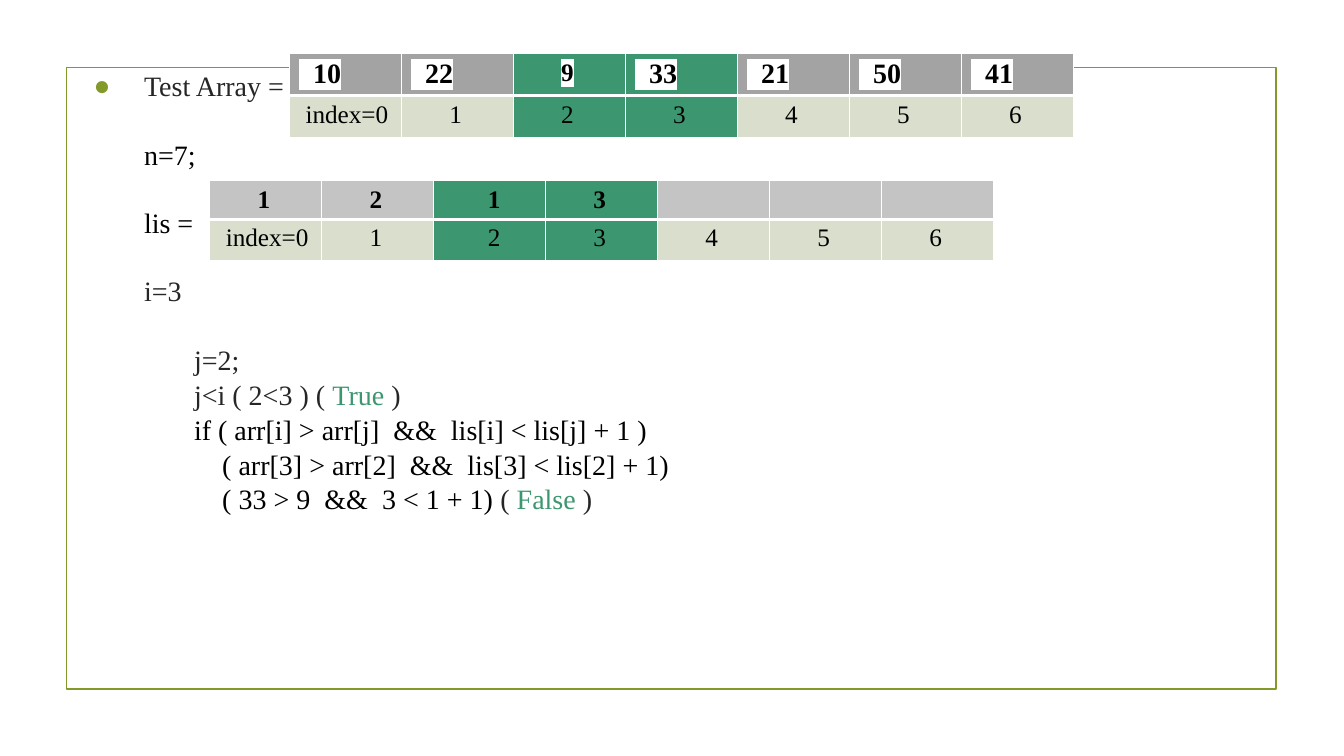
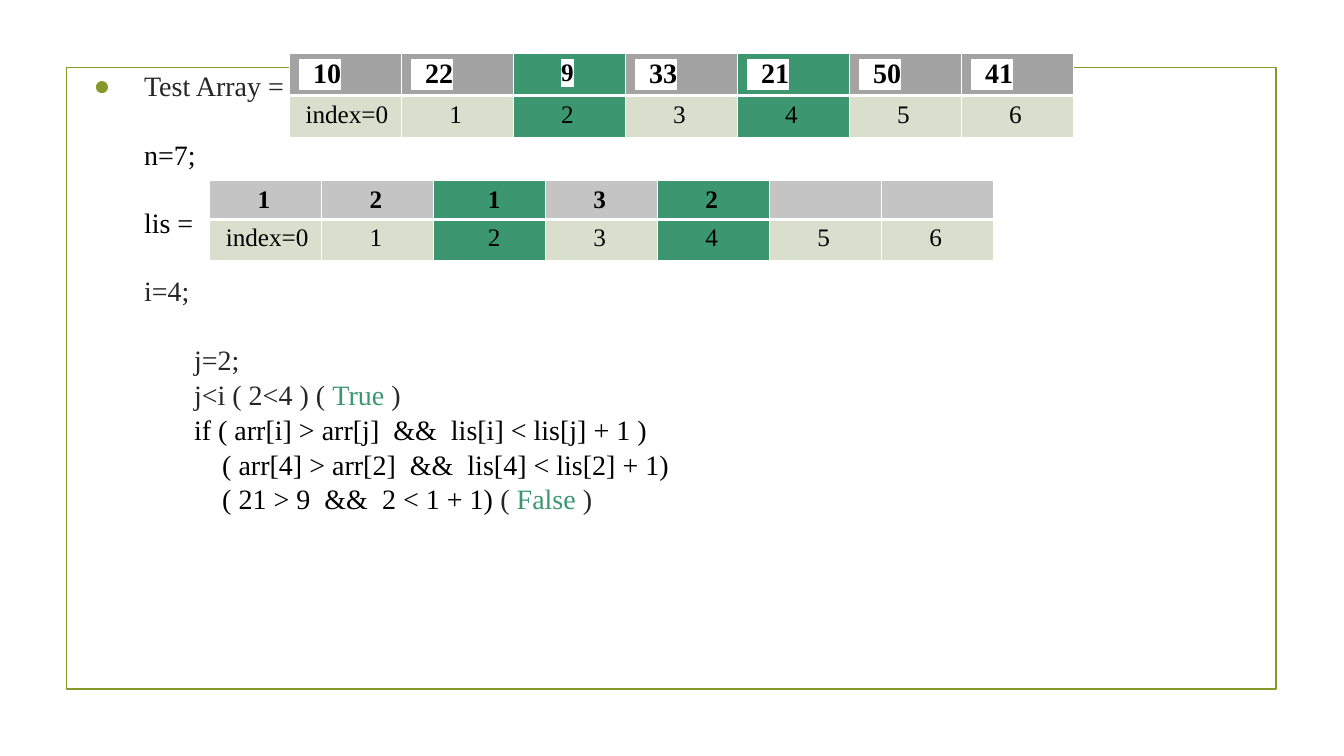
from dataclasses import dataclass

from lxml import etree
from pptx import Presentation
from pptx import util as u
from pptx.dml.color import RGBColor
from pptx.enum import shapes, text
from pptx.oxml import ns


@dataclass(frozen=True)
class Theme:
    """Colours, font and type sizes of the deck."""
    font: str = "Times New Roman"
    olive: str = "83992A"
    dark: str = "262626"
    black: str = "000000"
    white: str = "FFFFFF"
    green: str = "3C9770"
    steel: str = "A3A3A3"
    silver: str = "C4C4C4"
    pale: str = "D9DECD"
    large: float = 20
    small: float = 18
    pitch: float = 1.04
    gap: float = 23.9


@dataclass(frozen=True)
class Box:
    """A region in centimetres."""
    x: float
    y: float
    w: float
    h: float

    def place(self):
        """Return the four lengths of the region."""
        return [u.Cm(n) for n in (self.x, self.y, self.w, self.h)]


T = Theme()
FRAME = Box(1.68, 1.7, 30.48, 15.67)
BODY = Box(1.6, 1.37, 29.69, 16.66)
ARRAY = Box(7.29, 1.35, 19.76, 2.12)
LIS = Box(5.28, 4.55, 19.76, 2.02)
EDGE, STEP, CODE = 1.7, 2.96, 3.67
PAD, SHIFT, LABEL, WIDE = 0.25, 1.21, 0.41, 1.37
VALUES = ["10", "22", "9", "33", "21", "50", "41"]


def node(parent, tag, **attrs):
    """Add a drawing element to a parent."""
    return etree.SubElement(parent, ns.qn("a:" + tag), attrs)


def write(para, words, color, size, bold=False, mark=False):
    """Add one formatted run, with a white highlight if marked."""
    run = para.add_run()
    run.text = words
    font = run.font
    font.name, font.size, font.bold = T.font, u.Pt(size), bold
    font.color.rgb = RGBColor.from_string(color)
    if mark:
        glow = etree.Element(ns.qn("a:highlight"))
        node(glow, "srgbClr", val=T.white)
        run._r.rPr.find(ns.qn("a:solidFill")).addnext(glow)


def add_frame(slide, box):
    """Draw the olive outline and hand it to the layout."""
    rect = slide.shapes.add_shape(shapes.MSO_SHAPE.RECTANGLE, *box.place())
    rect.shadow.inherit = False
    rect.fill.background()
    rect.line.color.rgb = RGBColor.from_string(T.olive)
    rect.line.width = u.Pt(1.25)
    slide.slide_layout.shapes.element.append(rect.element)


def add_body(slide, box, lines):
    """Fill the body placeholder with indented lines of runs."""
    body = slide.placeholders[1]
    body.left, body.top, body.width, body.height = box.place()
    frame = body.text_frame
    frame.auto_size = text.MSO_AUTO_SIZE.NONE
    frame.vertical_anchor = text.MSO_ANCHOR.TOP
    frame.margin_left = frame.margin_right = u.Cm(0.33)
    frame.margin_top = frame.margin_bottom = u.Cm(0.33)
    for row, (left, gap, runs) in enumerate(lines):
        para = frame.add_paragraph() if row else frame.paragraphs[0]
        props = para._p.get_or_add_pPr()
        props.set("marL", str(u.Cm(left)))
        props.set("indent", str(0 if row else u.Cm(-1.27)))
        if row:
            node(props, "buNone")
        else:
            node(node(props, "buClr"), "srgbClr", val=T.olive)
            node(props, "buFont", typeface="Arial")
            node(props, "buChar", char="●")
        para.line_spacing = T.pitch
        para.space_before = u.Pt(T.gap if gap else 0)
        for words, color in runs:
            write(para, words, color, T.large)


def style(cell, fill, left, top, base):
    """Set margin, white borders and fill of a cell."""
    cell.margin_left = u.Cm(left)
    props = cell._tc.get_or_add_tcPr()
    for side, width in zip("LRTB", (1, 1, top, base)):
        edge = node(props, "ln" + side, w=str(u.Pt(width)))
        node(node(edge, "solidFill"), "srgbClr", val=T.white)
    cell.fill.solid()
    cell.fill.fore_color.rgb = RGBColor.from_string(fill)


def add_grid(slide, box, values, hot, head, mark):
    """Place a table of values over their indices."""
    count = len(values)
    grid = slide.shapes.add_table(2, count, *box.place()).table
    for col in grid.columns:
        col.width = u.Cm(box.w / count)
    tall = box.h / 2 if mark else 0.98
    grid.rows[0].height, grid.rows[1].height = u.Cm(tall), u.Cm(box.h - tall)
    for col, value in enumerate(values):
        lit = col in hot
        top, low = grid.cell(0, col), grid.cell(1, col)
        block = mark and len(value) > 1
        inset = WIDE if col == 2 and not mark else SHIFT
        style(top, T.green if lit else head, PAD if block else inset, 1, 3)
        style(low, T.green if lit else T.pale, inset if col else LABEL, 3, 1)
        para = top.text_frame.paragraphs[0]
        if value:
            words = "  " + value if block else value
            size = T.large if block else T.small
            write(para, words, T.black, size, True, mark)
        else:
            para._p.get_or_add_endParaRPr().set("sz", "1400")
        name = str(col) if col else "index=0"
        write(low.text_frame.paragraphs[0], name, T.black, T.small)


def add_step(deck, i, mark, best, sums):
    """Build one slide for step i of the search with j=2."""
    slide = deck.slides.add_slide(deck.slide_layouts[1])
    title = slide.shapes.title.element
    title.getparent().remove(title)
    add_body(slide, BODY, [
        (EDGE, False, [("Test Array =", T.dark)]),
        (EDGE, True, [("n=7;", T.black)]),
        (EDGE, True, [("lis =", T.black)]),
        (EDGE, True, [(f"i={i}{mark}", T.dark)]),
        (STEP, True, [("j=2;", T.dark)]),
        (STEP, False, [(f"j<i ( 2<{i} ) ( ", T.dark),
                       ("True", T.green), (" )", T.dark)]),
        (STEP, False, [("if ( arr[i] > arr[j]  &&  lis[i] < lis[j] + 1 )",
                        T.black)]),
        (CODE, False, [(f"( arr[{i}] > arr[2]  &&  lis[{i}] < lis[2] + 1)",
                        T.black)]),
        (CODE, False, [(f"( {sums}) ", T.black), ("( ", T.dark),
                       ("False", T.green), (" )", T.dark)]),
    ])
    hot = (2, i)
    add_grid(slide, ARRAY, VALUES, hot, T.steel, True)
    rest = [""] * (len(VALUES) - len(best))
    add_grid(slide, LIS, best + rest, hot, T.silver, False)
    return slide


def main():
    """Build and save the deck."""
    deck = Presentation()
    deck.slide_width, deck.slide_height = u.Cm(33.87), u.Cm(19.05)
    first = add_step(deck, 3, "", ["1", "2", "1", "3"],
                     "33 > 9  &&  3 < 1 + 1")
    add_frame(first, FRAME)
    add_step(deck, 4, ";", ["1", "2", "1", "3", "2"],
             "21 > 9  &&  2 < 1 + 1")
    deck.save("out.pptx")


if __name__ == "__main__":
    main()
